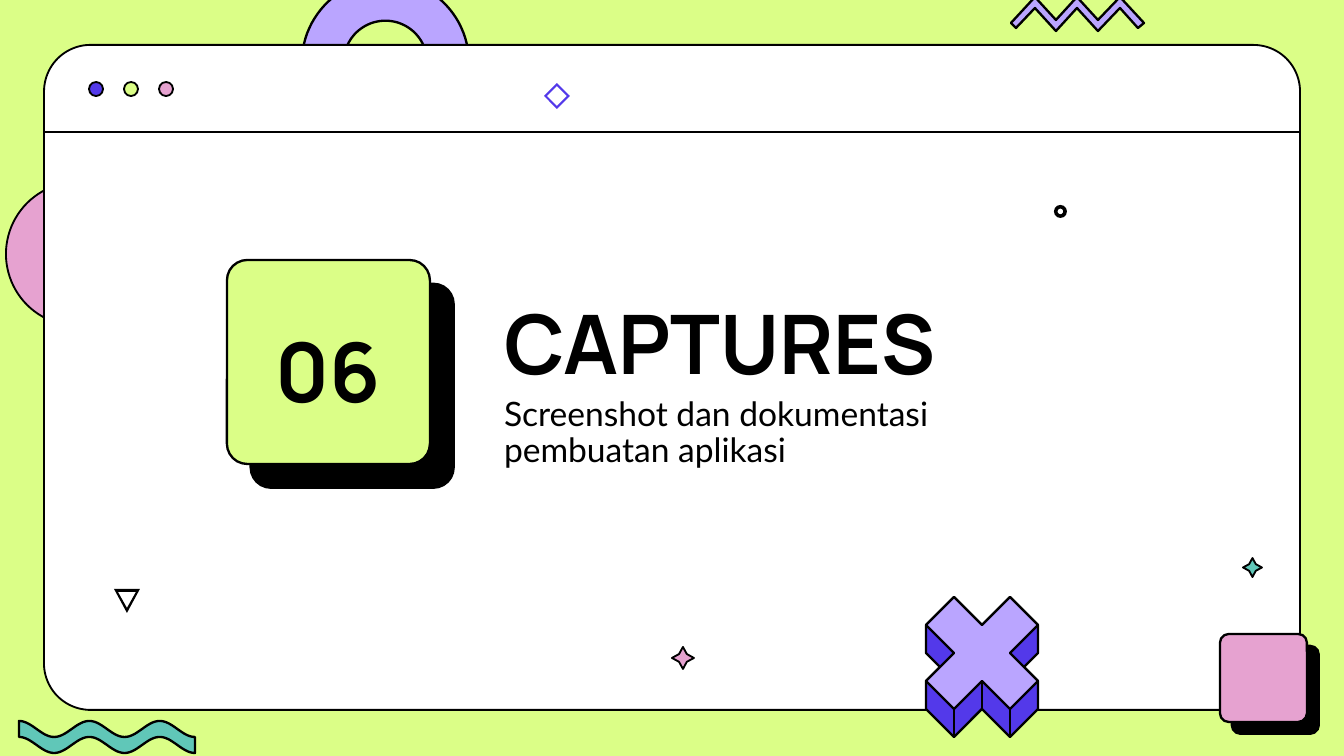
import math

import lxml.etree
import pptx
import pptx.dml.color
import pptx.enum.shapes
import pptx.enum.text
import pptx.oxml.ns
import pptx.util

SCALE = 914400 / 134.4
LIME, LILAC, PINK = "DBFE87", "BAA5FF", "E6A2D0"
VIOLET, TEAL, BLACK, WHITE = "5339EA", "60C7B8", "000000", "FFFFFF"
SHAPES = pptx.enum.shapes.MSO_SHAPE
ALIGN = pptx.enum.text.PP_ALIGN
ANCHOR = pptx.enum.text.MSO_ANCHOR


def px(length):
    """Turn pixels into EMU."""
    return pptx.util.Emu(round(length * SCALE))


def color(value):
    """Turn a hex string into a colour."""
    return pptx.dml.color.RGBColor.from_string(value)


def paint(shape, fill, line):
    """Fill a shape and outline it in black, or not at all when line is 0."""
    shape.shadow.inherit = False
    shape.fill.solid()
    shape.fill.fore_color.rgb = color(fill)
    if line:
        shape.line.color.rgb = color(BLACK)
        shape.line.width = pptx.util.Pt(line)
    else:
        shape.line.fill.background()
    return shape


def add_preset(page, kind, box, fill, line=1, adjust=None):
    """Add a preset shape in the given box."""
    shape = page.shapes.add_shape(kind, *map(px, box))
    if adjust is not None:
        shape.adjustments[0] = adjust
    return paint(shape, fill, line)


def add_outline(page, origin, contours, fill, line=1.25):
    """Add one freeform whose contours are relative to the origin."""
    left, top = origin
    placed = [[(px(left + x), px(top + y)) for x, y in contour] for contour in contours]
    builder = page.shapes.build_freeform(*placed[0][0])
    builder.add_line_segments(placed[0][1:])
    for contour in placed[1:]:
        builder.move_to(*contour[0])
        builder.add_line_segments(contour[1:])
    return paint(builder.convert_to_shape(), fill, line)


def add_line(page, start, end, width=1):
    """Add a straight black line."""
    kind = pptx.enum.shapes.MSO_CONNECTOR.STRAIGHT
    line = page.shapes.add_connector(kind, *map(px, start + end))
    line.line.color.rgb = color(BLACK)
    line.line.width = pptx.util.Pt(width)
    effects = pptx.oxml.ns.qn("a:effectLst")
    lxml.etree.SubElement(line.element.spPr, effects)


def arc(center, radius, start, end, steps=48):
    """List points on a circle between two angles in degrees."""
    angles = [math.radians(start + (end - start) * i / steps) for i in range(steps + 1)]
    x, y = center
    return [(x + radius * math.cos(a), y + radius * math.sin(a)) for a in angles]


def add_arch(page, box):
    """Draw the lilac arch with rounded feet."""
    left, top, width, height = box
    outer = width / 2
    inner = outer / 2
    middle = (outer + inner) / 2
    center = (outer, outer)
    foot = (outer - inner) / 2
    points = arc(center, outer, 178, 358)
    points += arc((outer + middle, outer - 2), foot, 0, 180, 16)
    points += arc(center, inner, 358, 178)
    points += arc((outer - middle, outer + 2), foot, 0, 180, 16)
    add_outline(page, (left, top), [points], LILAC)


def add_half_disc(page, box):
    """Draw the pink half disc with its flat side on the right."""
    left, top, width, height = box
    points = arc((width, height / 2), height / 2, 90, 270)
    add_outline(page, (left, top), [points], PINK, 1)


def add_window(page, box):
    """Draw the browser window with its title bar and three buttons."""
    left, top, width, height = box
    bar = top + 87
    add_preset(page, SHAPES.ROUNDED_RECTANGLE, box, WHITE, 1, 0.07)
    add_line(page, (left, bar), (left + width, bar))
    for index, fill in enumerate((VIOLET, LIME, PINK)):
        button = (left + 45 + 35 * index, top + 37, 14, 14)
        add_preset(page, SHAPES.OVAL, button, fill)


def add_tile(page, box, fill, distance):
    """Draw a rounded tile with a hard diagonal shadow."""
    tile = add_preset(page, SHAPES.ROUNDED_RECTANGLE, box, fill, 1.25, 0.1)
    qn = pptx.oxml.ns.qn
    effects = tile.element.spPr.find(qn("a:effectLst"))
    shadow = lxml.etree.SubElement(
        effects, qn("a:outerShdw"), blurRad="0", dist=str(pptx.util.Pt(distance)),
        dir="2700000", algn="bl", rotWithShape="0")
    lxml.etree.SubElement(shadow, qn("a:srgbClr"), val=BLACK)


def add_cross(page, box):
    """Draw the solid cross on a grid of four by five units."""
    left, top, width, height = box
    unit = width / 4
    front = [(3, 0), (4, 1), (3, 2), (4, 3), (3, 4), (2, 3),
             (1, 4), (0, 3), (1, 2), (0, 1), (1, 0), (2, 1), (3, 0)]
    body = [(3, 0), (4, 1), (4, 2), (3.5, 2.5), (4, 3), (4, 4), (3, 5), (2, 4), (1, 5),
            (0, 4), (0, 3), (0.5, 2.5), (0, 2), (0, 1), (1, 0), (2, 1), (3, 0)]
    for outline, fill in ((body, VIOLET), (front, LILAC)):
        points = [(x * unit, y * unit) for x, y in outline]
        add_outline(page, (left, top), [points], fill)
    for column, row in ((1, 4), (2, 3), (3, 4)):
        x, y = left + column * unit, top + row * unit
        add_line(page, (x, y), (x, y + unit), 1.25)


def add_wave(page, box):
    """Draw the wavy ribbon, two and a half periods long."""
    left, top, width, height = box
    half = height / 2
    crest = [(width * i / 100, half / 2 * (1 - math.cos(math.pi * i / 20)))
             for i in range(101)]
    trough = [(x, y + half) for x, y in reversed(crest)]
    add_outline(page, (left, top), [crest + trough + crest[:1]], TEAL)


def add_zigzag(page, box):
    """Draw the zigzag ribbon."""
    left, top, width, height = box
    points = [(87, 34), (66, 11), (45, 34), (24, 11), (5, 31), (0, 26), (24, 0), (45, 23),
              (66, 0), (87, 23), (109, 0), (133, 26), (127, 31), (109, 11), (87, 34)]
    add_outline(page, (left, top), [points], LILAC)


def add_ornaments(page, box):
    """Scatter the small marks over the window."""
    left, top, width, height = box
    for x, y, size, fill in ((628, 602, 22, PINK), (1199, 513, 19, TEAL)):
        place = (left + x, top + y, size, size)
        add_preset(page, SHAPES.STAR_4_POINT, place, fill, 1, 0.25)
    triangle = [[(0, 0), (26, 0), (13, 24), (0, 0)], [(4, 3), (13, 19), (22, 3), (4, 3)]]
    add_outline(page, (left + 70, top + 544), triangle, BLACK, 0)
    diamond = [[(13, 0), (26, 13), (13, 26), (0, 13), (13, 0)],
               [(13, 3), (3, 13), (13, 23), (23, 13), (13, 3)]]
    add_outline(page, (left + 500, top + 38), diamond, VIOLET, 0)
    add_preset(page, SHAPES.DONUT, (left + 1010, top + 160, 13, 13), BLACK, 0, 0.28)


def write(holder, box, text, font, size, bold, align, anchor, before=0):
    """Place a placeholder in front and write one formatted paragraph."""
    holder.element.getparent().append(holder.element)
    holder.left, holder.top, holder.width, holder.height = map(px, box)
    frame = holder.text_frame
    frame.text = text
    frame.word_wrap = True
    frame.auto_size = pptx.enum.text.MSO_AUTO_SIZE.NONE
    frame.vertical_anchor = anchor
    frame.margin_left = frame.margin_right = px(13)
    frame.margin_top = frame.margin_bottom = px(13)
    para = frame.paragraphs[0]
    para.alignment = align
    para.line_spacing = 0.9
    para.space_before = pptx.util.Pt(before)
    span = para.runs[0]
    span.font.name = font
    span.font.size = pptx.util.Pt(size)
    span.font.bold = bold
    span.font.color.rgb = color(BLACK)


def add_heading(page, box):
    """Place the numbered tile, the title and the description."""
    left, top, width, height = box
    holders = {holder.placeholder_format.idx: holder for holder in page.placeholders}
    for index in (2, 4):
        holders[index].element.getparent().remove(holders[index].element)
    add_tile(page, (left, top + 50, 203, 204), LIME, 18)
    write(holders[0], (left + 264, top, 582, 195), "CAPTURES",
          "Manrope", 44, True, ALIGN.LEFT, ANCHOR.BOTTOM)
    write(holders[1], (left + 264, top + 174, 582, 63),
          "Screenshot dan dokumentasi pembuatan aplikasi",
          "Lato", 18, False, ALIGN.LEFT, ANCHOR.TOP, 7.5)
    write(holders[3], (left, top + 113, 203, 106), "06",
          "Manrope", 44, True, ALIGN.CENTER, ANCHOR.MIDDLE, 7.5)


def main():
    """Build the section slide."""
    deck = pptx.Presentation()
    deck.slide_width, deck.slide_height = px(1344), px(756)
    page = deck.slides.add_slide(deck.slide_layouts[4])
    page.background.fill.solid()
    page.background.fill.fore_color.rgb = color(LIME)
    window = (44, 45, 1256, 665)
    add_arch(page, (302, -21, 167, 110))
    add_half_disc(page, (6, 182, 72, 144))
    add_window(page, window)
    add_heading(page, (227, 210, 846, 255))
    add_ornaments(page, window)
    add_cross(page, (926, 597, 112, 140))
    add_tile(page, (1220, 634, 87, 88), PINK, 9)
    add_wave(page, (19, 721, 176, 32))
    add_zigzag(page, (1011, -3, 133, 34))
    deck.save("out.pptx")


if __name__ == "__main__":
    main()
